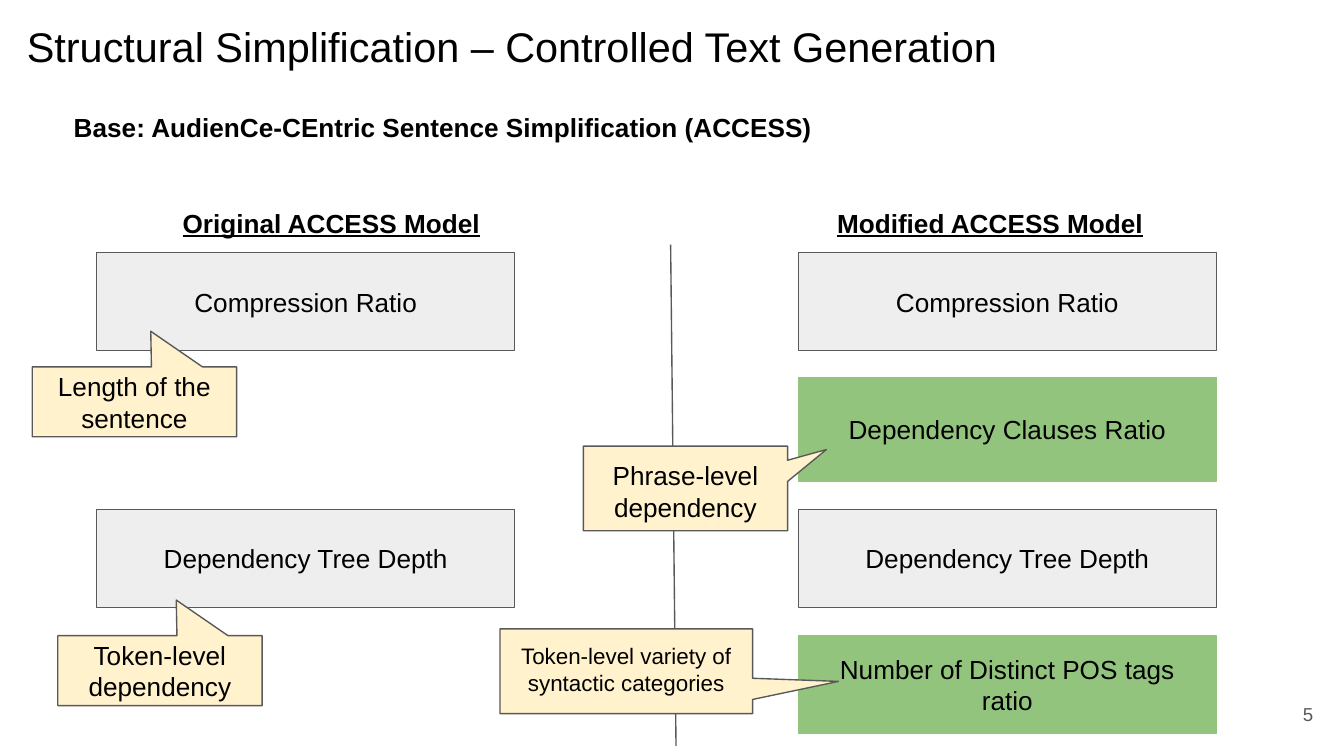
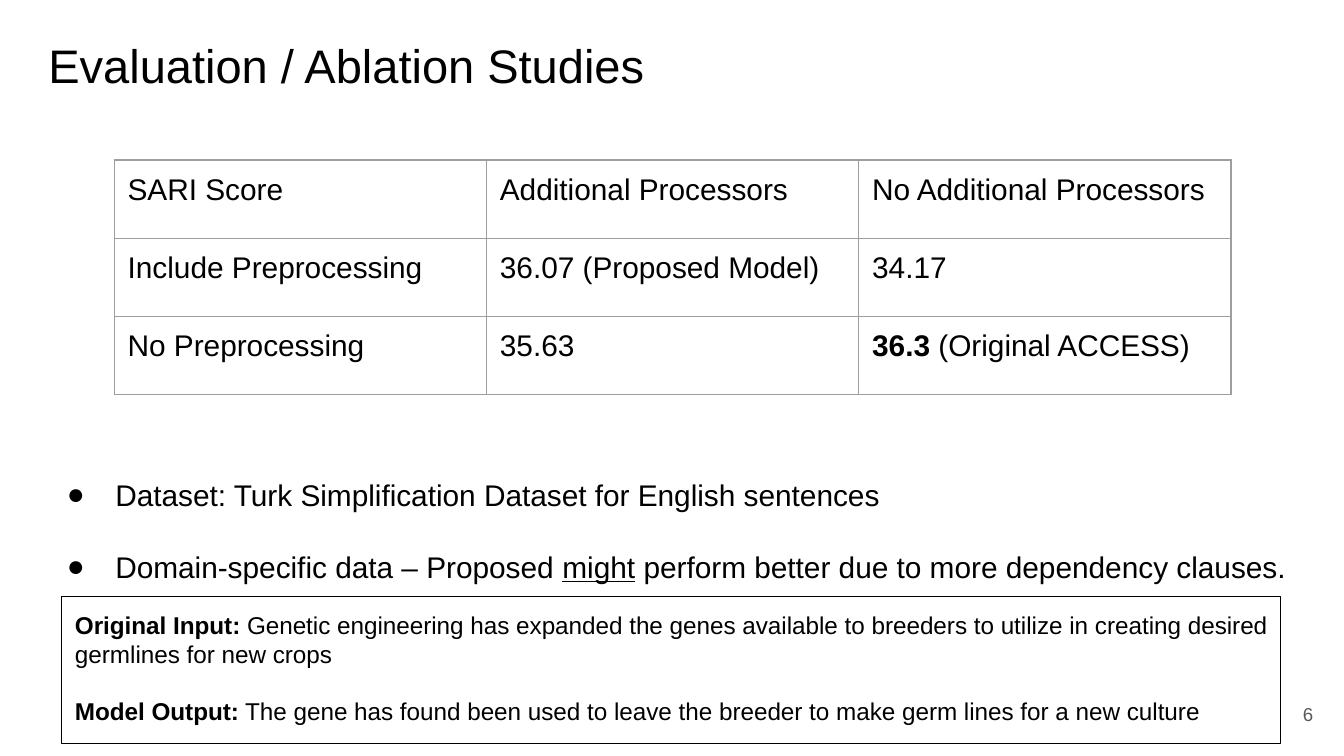
from dataclasses import dataclass

from lxml.etree import SubElement
from pptx import Presentation
from pptx.dml.color import RGBColor
from pptx.enum.shapes import MSO_CONNECTOR, MSO_SHAPE
from pptx.enum.text import MSO_ANCHOR, MSO_AUTO_SIZE, PP_ALIGN
from pptx.oxml.ns import qn
from pptx.util import Inches, Pt


@dataclass(frozen=True)
class Theme:
    font: str = "Arial"
    ink: str = "000000"
    muted: str = "595959"
    paper: str = "FFFFFF"
    kept: str = "EEEEEE"
    added: str = "93C47D"
    note: str = "FFF2CC"
    grid: str = "9E9E9E"
    hairline: float = 0.75
    body: float = 14
    large: float = 16
    sample: float = 13
    small: float = 12
    number: float = 10


THEME = Theme()
SLIDE_WIDTH, SLIDE_HEIGHT = Inches(10), Inches(5.625)
COLUMN, ROW = SLIDE_WIDTH / 100, SLIDE_HEIGHT / 56.25
INSET = Inches(0.1)
LEFT_COLUMN, RIGHT_COLUMN = 7.2, 59.4
CARD_WIDTH, CARD_HEIGHT = 31.1, 7.3


def area(left, top, width, height):
    return int(left * COLUMN), int(top * ROW), int(width * COLUMN), int(height * ROW)


def color(value):
    return RGBColor.from_string(value)


def add_span(para, text, size=THEME.body, ink=THEME.ink, bold=False, underline=False):
    span = para.add_run()
    span.text = text
    span.font.name = THEME.font
    span.font.size = Pt(size)
    span.font.color.rgb = color(ink)
    span.font.bold = bold
    span.font.underline = underline


def prepare_frame(box, anchor=MSO_ANCHOR.TOP, grow=False):
    frame = box.text_frame
    frame.word_wrap = True
    frame.auto_size = MSO_AUTO_SIZE.SHAPE_TO_FIT_TEXT if grow else MSO_AUTO_SIZE.NONE
    frame.vertical_anchor = anchor
    frame.margin_left = frame.margin_right = INSET
    frame.margin_top = frame.margin_bottom = INSET
    return frame


def add_page(deck, title, place, size):
    page = deck.slides.add_slide(deck.slide_layouts[5])
    box = page.shapes.title
    box.left, box.top, box.width, box.height = area(*place)
    para = prepare_frame(box).paragraphs[0]
    para.alignment = PP_ALIGN.LEFT
    add_span(para, title, size)
    return page


def add_number(page, number):
    box = page.shapes.add_textbox(*area(92.7, 51, 6, 4.3))
    para = prepare_frame(box, MSO_ANCHOR.MIDDLE).paragraphs[0]
    para.alignment = PP_ALIGN.RIGHT
    add_span(para, str(number), THEME.number, THEME.muted)


def add_heading(page, text, place, underline=False):
    box = page.shapes.add_textbox(*area(*place))
    para = prepare_frame(box, grow=True).paragraphs[0]
    add_span(para, text, bold=True, underline=underline)


def add_panel(page, kind, place, fill, line):
    box = page.shapes.add_shape(kind, *area(*place))
    box.shadow.inherit = False
    if fill:
        box.fill.solid()
        box.fill.fore_color.rgb = color(fill)
    else:
        box.fill.background()
    box.line.color.rgb = color(line)
    box.line.width = Pt(THEME.hairline)
    return box


def add_label(box, text, size=THEME.body, anchor=MSO_ANCHOR.MIDDLE):
    para = prepare_frame(box, anchor).paragraphs[0]
    para.alignment = PP_ALIGN.CENTER
    add_span(para, text, size)


def add_card(page, text, left, top, height=CARD_HEIGHT, added=False):
    fill = THEME.added if added else THEME.kept
    line = THEME.added if added else THEME.muted
    place = (left, top, CARD_WIDTH, height)
    add_label(add_panel(page, MSO_SHAPE.RECTANGLE, place, fill, line), text)


def add_callout(page, text, place, tip, size=THEME.body, anchor=MSO_ANCHOR.MIDDLE):
    box = add_panel(page, MSO_SHAPE.RECTANGULAR_CALLOUT, place, THEME.note, THEME.muted)
    box.adjustments[0], box.adjustments[1] = tip
    add_label(box, text, size, anchor)


def add_divider(page, start, end):
    left, top, right, bottom = area(*start, *end)
    divider = page.shapes.add_connector(MSO_CONNECTOR.STRAIGHT, left, top, right, bottom)
    divider.line.color.rgb = color(THEME.muted)
    divider.line.width = Pt(THEME.hairline)
    SubElement(divider.element.spPr, qn("a:effectLst"))


def add_borders(cell):
    properties = cell._tc.get_or_add_tcPr()
    for side in ("lnL", "lnR", "lnT", "lnB"):
        border = SubElement(properties, qn(f"a:{side}"), w=str(Pt(THEME.hairline)))
        paint = SubElement(border, qn("a:solidFill"))
        SubElement(paint, qn("a:srgbClr"), val=THEME.grid)


def add_scores(page, rows, left, top, column_width, row_height):
    count = len(rows[0])
    place = area(left, top, column_width * count, row_height * len(rows))
    table = page.shapes.add_table(len(rows), count, *place).table
    table.first_row = table.horz_banding = False
    for row_index, row in enumerate(rows):
        for column_index, spans in enumerate(row):
            cell = table.cell(row_index, column_index)
            cell.margin_left = cell.margin_right = INSET
            cell.margin_top = cell.margin_bottom = INSET
            add_borders(cell)
            cell.fill.background()
            for text, bold in spans:
                add_span(cell.text_frame.paragraphs[0], text, THEME.large, bold=bold)


def add_bullet(para):
    para.line_spacing = 2.0
    properties = para._p.get_or_add_pPr()
    properties.set("marL", str(Inches(0.5)))
    properties.set("indent", str(Inches(-0.36)))
    paint = SubElement(properties, qn("a:buClr"))
    SubElement(paint, qn("a:srgbClr"), val=THEME.ink)
    SubElement(properties, qn("a:buFont"), typeface=THEME.font)
    SubElement(properties, qn("a:buChar"), char="●")


def add_bullets(page, items, place):
    box = page.shapes.add_textbox(*area(*place))
    frame = prepare_frame(box, grow=True)
    for index, spans in enumerate(items):
        para = frame.add_paragraph() if index else frame.paragraphs[0]
        add_bullet(para)
        for text, underline in spans:
            add_span(para, text, THEME.large, underline=underline)


def add_sample(page, entries, place):
    box = add_panel(page, MSO_SHAPE.RECTANGLE, place, None, THEME.ink)
    frame = prepare_frame(box, grow=True)
    for index, (label, text) in enumerate(entries):
        para = frame.add_paragraph() if index else frame.paragraphs[0]
        para.alignment = PP_ALIGN.LEFT
        para.space_before = Pt(15 * index)
        add_span(para, label, THEME.sample, bold=True)
        add_span(para, " " + text, THEME.sample)


def build_models(deck):
    page = add_page(deck, "Structural Simplification – Controlled Text Generation",
                    (1, 0.6, 93.2, 6.3), 22.2)
    add_divider(page, (49.9, 18.2), (50.3, 55.5))
    add_card(page, "Number of Distinct POS tags ratio", RIGHT_COLUMN, 47.3, added=True)
    add_card(page, "Dependency Clauses Ratio", RIGHT_COLUMN, 28.1, 7.7, added=True)
    for left in (LEFT_COLUMN, RIGHT_COLUMN):
        add_card(page, "Compression Ratio", left, 18.8)
        add_card(page, "Dependency Tree Depth", left, 37.9)
    add_heading(page, "Original ACCESS Model", (12.6, 14.4, 25.1, 4.4), underline=True)
    add_heading(page, "Modified ACCESS Model", (61.3, 14.4, 25.6, 4.4), underline=True)
    add_callout(page, "Length of the sentence", (2.4, 27.3, 15.2, 5.2), (0.08, -1.01))
    add_callout(page, "Token-level dependency", (4.3, 47.3, 15.2, 5.2), (0.08, -1.01))
    add_callout(page, "Phrase-level dependency", (43.4, 33.2, 15.2, 6.3),
                (0.69, -0.46), anchor=MSO_ANCHOR.TOP)
    add_callout(page, "Token-level variety of syntactic categories", (37.2, 46.8, 18.8, 6.3),
                (0.84, 0.12), THEME.small, MSO_ANCHOR.TOP)
    add_heading(page, "Base: AudienCe-CEntric Sentence Simplification (ACCESS)",
                (4.5, 7.3, 62.1, 4.4))
    add_number(page, 5)


def build_evaluation(deck):
    page = add_page(deck, "Evaluation / Ablation Studies", (2.6, 1.7, 48.7, 6.3), 25.2)
    add_scores(page, [
        [[("SARI Score", False)], [("Additional Processors", False)],
         [("No Additional Processors", False)]],
        [[("Include Preprocessing", False)], [("36.07 (Proposed Model)", False)],
         [("34.17", False)]],
        [[("No Preprocessing", False)], [("35.63", False)],
         [("36.3 ", True), ("(Original ACCESS)", False)]],
    ], 8.5, 11.9, 27.7, 5.83)
    add_bullets(page, [
        [("Dataset: Turk Simplification Dataset for English sentences", False)],
        [("Domain-specific data – Proposed ", False), ("might", True),
         (" perform better due to more dependency clauses.", False)],
    ], (2.6, 31.8, 94.7, 10.1))
    add_sample(page, [
        ("Original Input:", "Genetic engineering has expanded the genes available to breeders "
         "to utilize in creating desired germlines for new crops"),
        ("Model Output:", "The gene has found been used to leave the breeder to make germ "
         "lines for a new culture"),
    ], (4.6, 44.4, 90.7, 10.9))
    add_number(page, 6)


def main():
    deck = Presentation()
    deck.slide_width, deck.slide_height = SLIDE_WIDTH, SLIDE_HEIGHT
    background = deck.slide_master.background.fill
    background.solid()
    background.fore_color.rgb = color(THEME.paper)
    build_models(deck)
    build_evaluation(deck)
    deck.save("out.pptx")


main()
